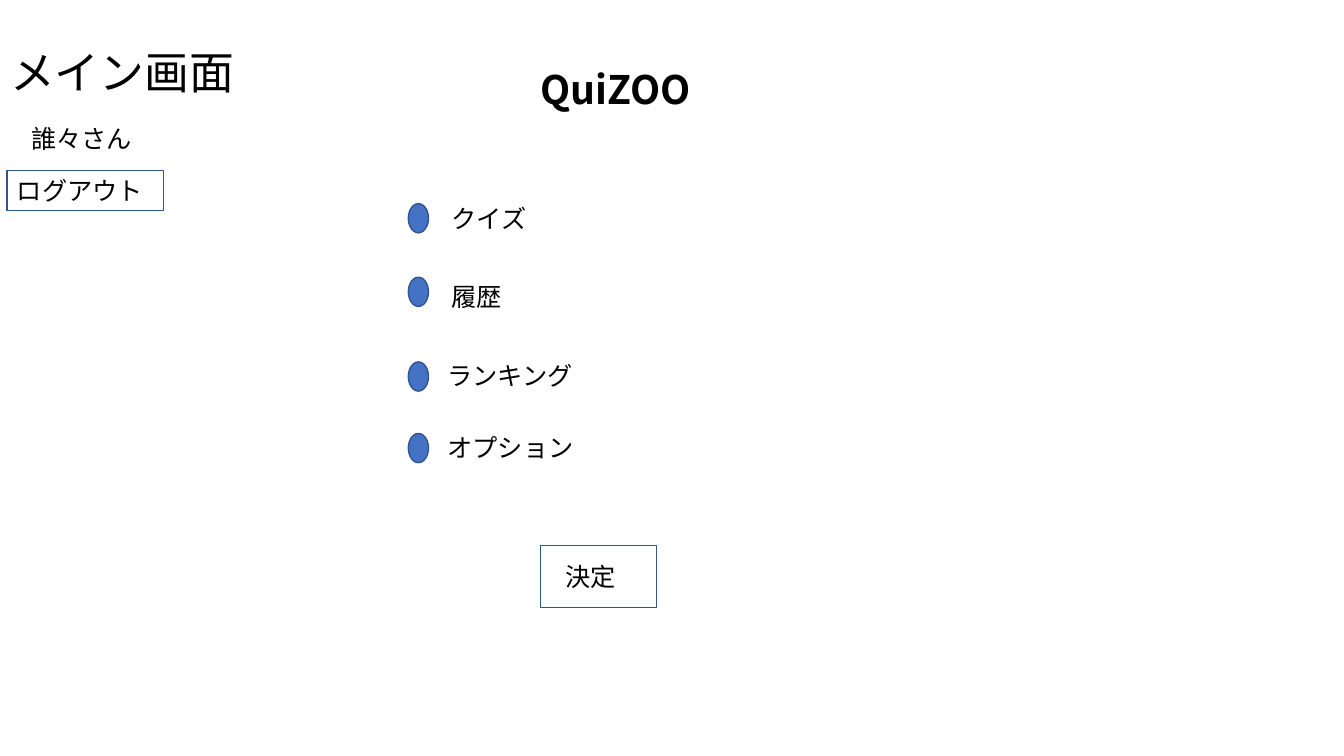
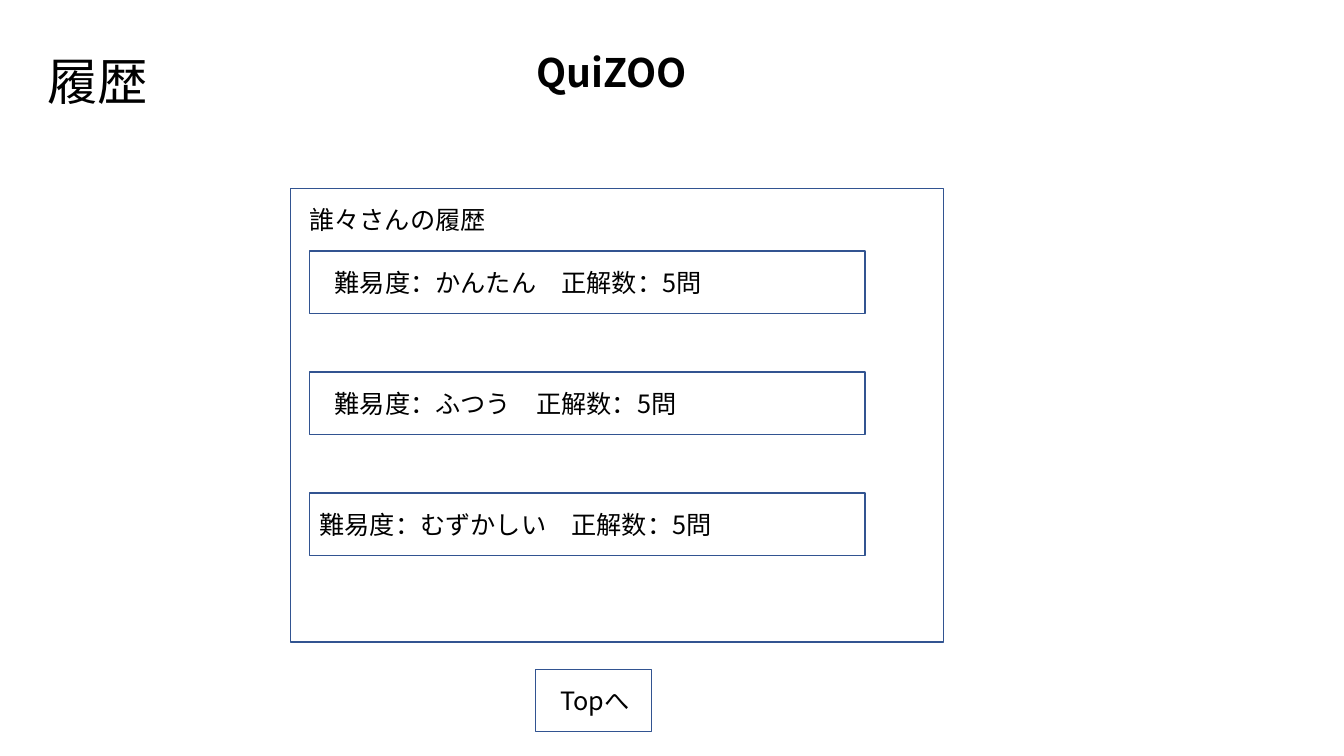
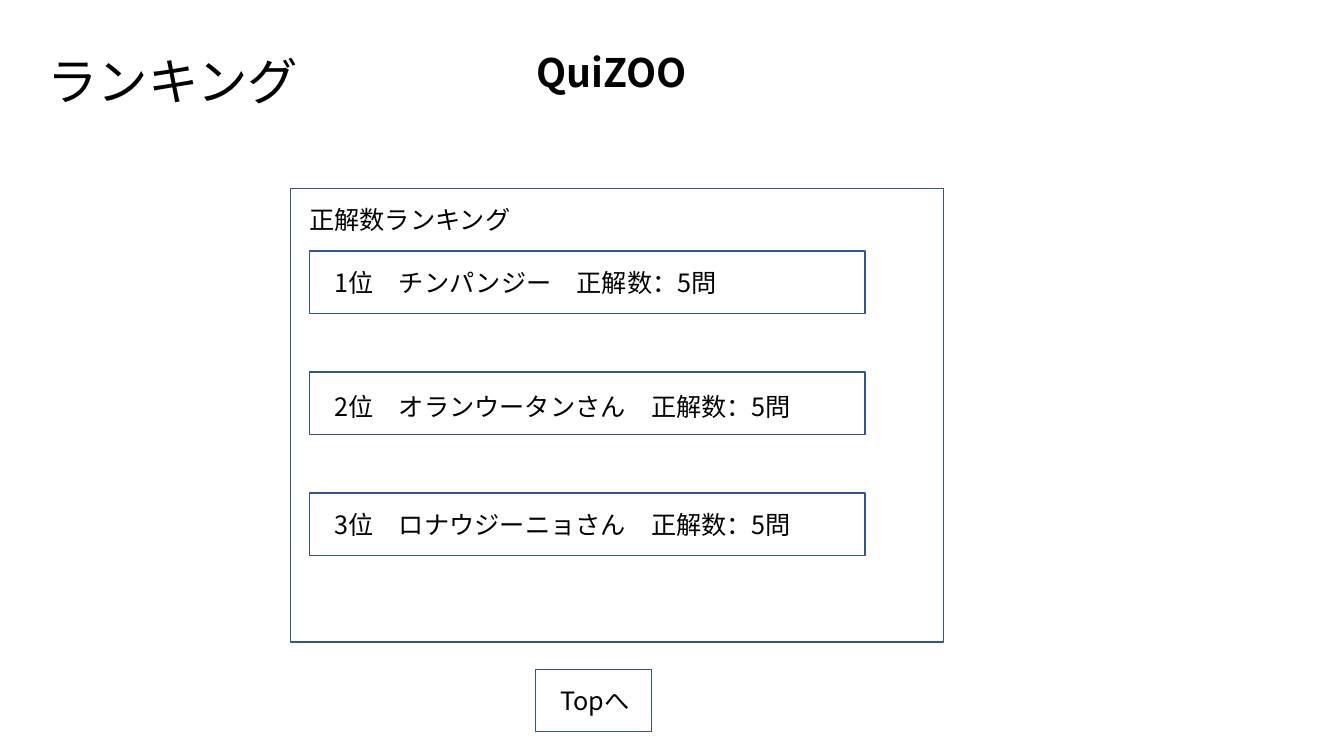
"""Build the screen mock-ups of a quiz application."""
from dataclasses import dataclass

from lxml.etree import SubElement
from pptx import Presentation
from pptx.dml.color import RGBColor
from pptx.enum.shapes import MSO_SHAPE as Preset
from pptx.enum.text import MSO_ANCHOR as Anchor, MSO_AUTO_SIZE as AutoSize, PP_ALIGN as Align
from pptx.oxml.ns import qn
from pptx.slide import Slide
from pptx.text.text import TextFrame
from pptx.util import Inches, Pt


@dataclass(frozen=True)
class Theme:
    font: str = "Noto Sans CJK JP"
    ink: RGBColor = RGBColor(0x00, 0x00, 0x00)
    accent: RGBColor = RGBColor(0x44, 0x72, 0xC4)
    outline: RGBColor = RGBColor(0x32, 0x54, 0x91)
    body: int = 18
    brand: int = 28
    main_title: int = 32
    title: int = 36
    line: float = 1


@dataclass(frozen=True)
class Choice:
    text: str
    dot_top: float
    left: float
    top: float
    width: float


@dataclass(frozen=True)
class Entry:
    text: str
    indent: float = 0.15
    drop: float = 0.11
    width: float = 4.62


@dataclass(frozen=True)
class Board:
    title: str
    heading: str
    entries: tuple[Entry, ...]


THEME = Theme()
CHOICES = (
    Choice("クイズ", 2.02, 4.38, 1.97, 1),
    Choice("履歴", 2.75, 4.38, 2.74, 1),
    Choice("ランキング", 3.59, 4.34, 3.53, 1.55),
    Choice("オプション", 4.3, 4.34, 4.24, 1.55),
)
BOARDS = (
    Board("履歴", "誰々さんの履歴", (
        Entry("難易度：かんたん　正解数：5問"),
        Entry("難易度：ふつう　正解数：5問"),
        Entry("難易度：むずかしい　正解数：5問", indent=0),
    )),
    Board("ランキング", "正解数ランキング", (
        Entry("1位　チンパンジー　正解数：5問"),
        Entry("2位　オランウータンさん　正解数：5問", drop=0.14, width=4.96),
        Entry("3位　ロナウジーニョさん　正解数：5問", width=5.09),
    )),
)


def write(frame: TextFrame, text: str, *, size: int = THEME.body, bold: bool = False,
          spacing: float = 1.0, anchor: Anchor = Anchor.TOP) -> None:
    frame.word_wrap = True
    frame.vertical_anchor = anchor
    paragraph = frame.paragraphs[0]
    paragraph.alignment = Align.LEFT
    paragraph.line_spacing = spacing
    run = paragraph.add_run()
    run.text = text
    run.font.name = THEME.font
    run.font.size = Pt(size)
    run.font.bold = bold
    run.font.color.rgb = THEME.ink
    SubElement(run.font._element, qn("a:ea")).set("typeface", THEME.font)


def add_label(slide: Slide, text: str, left: float, top: float, width: float,
              height: float = 0.4, *, size: int = THEME.body, bold: bool = False) -> None:
    label = slide.shapes.add_textbox(Inches(left), Inches(top), Inches(width), Inches(height))
    write(label.text_frame, text, size=size, bold=bold)
    label.text_frame.auto_size = AutoSize.SHAPE_TO_FIT_TEXT


def add_outline(slide: Slide, left: float, top: float, width: float, height: float, *,
                preset: Preset = Preset.RECTANGLE, fill: RGBColor | None = None) -> None:
    outline = slide.shapes.add_shape(preset, Inches(left), Inches(top),
                                     Inches(width), Inches(height))
    outline.shadow.inherit = False
    outline.line.color.rgb = THEME.outline
    outline.line.width = Pt(THEME.line)
    if fill is None:
        outline.fill.background()
    else:
        outline.fill.solid()
        outline.fill.fore_color.rgb = fill


def add_button(slide: Slide, text: str, left: float, top: float) -> None:
    add_outline(slide, left, top, 1.15, 0.62)
    add_label(slide, text, left + 0.15, top + 0.11, 1.33)


def add_screen(deck: Presentation, title: str, left: float, top: float, size: int,
               brand_left: float, brand_top: float) -> Slide:
    slide = deck.slides.add_slide(deck.slide_layouts[5])
    heading = slide.shapes.title
    heading.left, heading.top = Inches(left), Inches(top)
    heading.width, heading.height = Inches(11.5), Inches(1.45)
    write(heading.text_frame, title, size=size, spacing=0.9, anchor=Anchor.MIDDLE)
    add_label(slide, "QuiZOO", brand_left, brand_top, 1.8, 0.57, size=THEME.brand, bold=True)
    return slide


def build_main(deck: Presentation) -> None:
    slide = add_screen(deck, "メイン画面", 0, 0.02, THEME.main_title, 5.26, 0.6)
    for choice in CHOICES:
        add_outline(slide, 4.05, choice.dot_top, 0.2, 0.29,
                    preset=Preset.OVAL, fill=THEME.accent)
        add_label(slide, choice.text, choice.left, choice.top, choice.width)
    add_button(slide, "決定", 5.36, 5.41)
    add_outline(slide, 0.07, 1.69, 1.55, 0.4)
    add_label(slide, "ログアウト", 0.07, 1.69, 1.7)
    add_label(slide, "誰々さん", 0.21, 1.17, 1.57)


def build_board(deck: Presentation, board: Board) -> None:
    slide = add_screen(deck, board.title, 0.37, 0.11, THEME.title, 5.22, 0.43)
    add_outline(slide, 2.88, 1.87, 6.48, 4.5)
    add_label(slide, board.heading, 2.97, 1.98, 3.43)
    left, first_top, pitch = 3.07, 2.49, 1.2
    for index, entry in enumerate(board.entries):
        top = first_top + index * pitch
        add_outline(slide, left, top, 5.51, 0.62)
        add_label(slide, entry.text, left + entry.indent, top + entry.drop, entry.width)
    add_button(slide, "Topへ", 5.31, 6.64)


def main() -> None:
    deck = Presentation()
    deck.slide_width, deck.slide_height = Inches(13.33), Inches(7.5)
    build_main(deck)
    for board in BOARDS:
        build_board(deck, board)
    deck.save("out.pptx")


if __name__ == "__main__":
    main()
